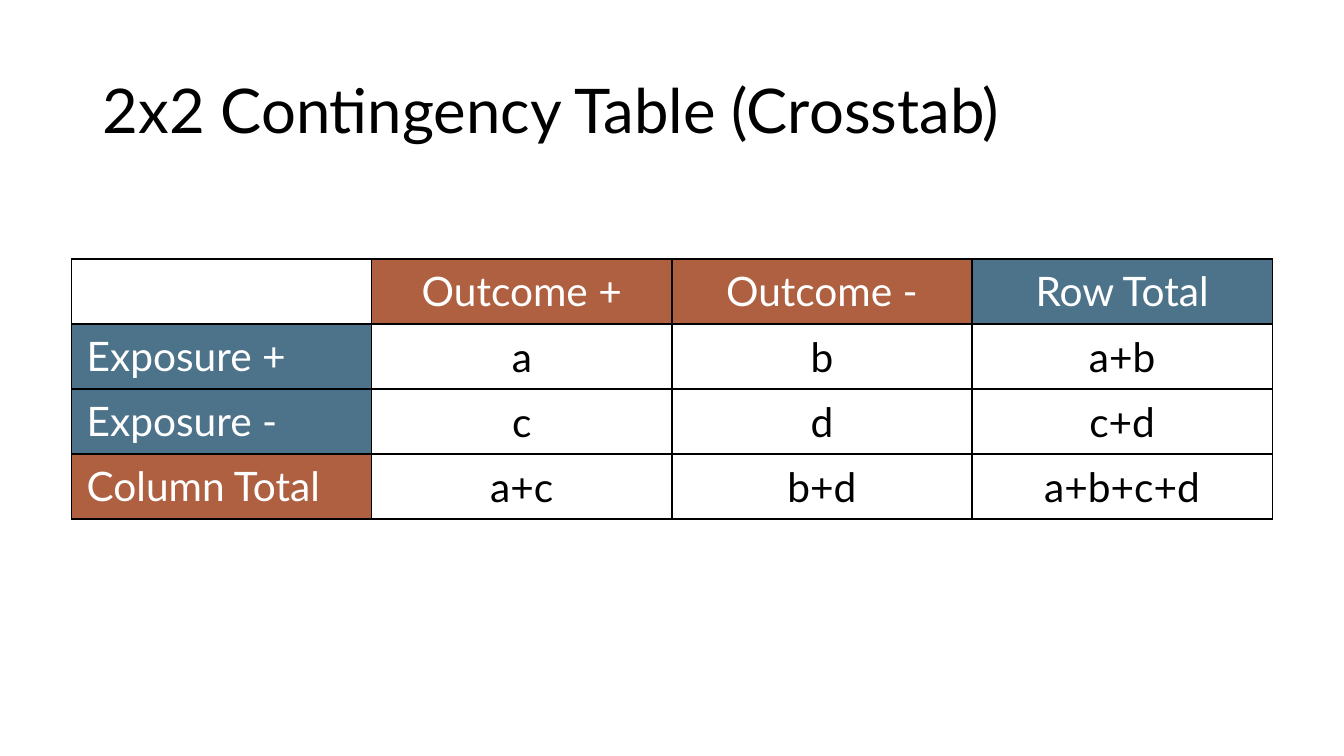
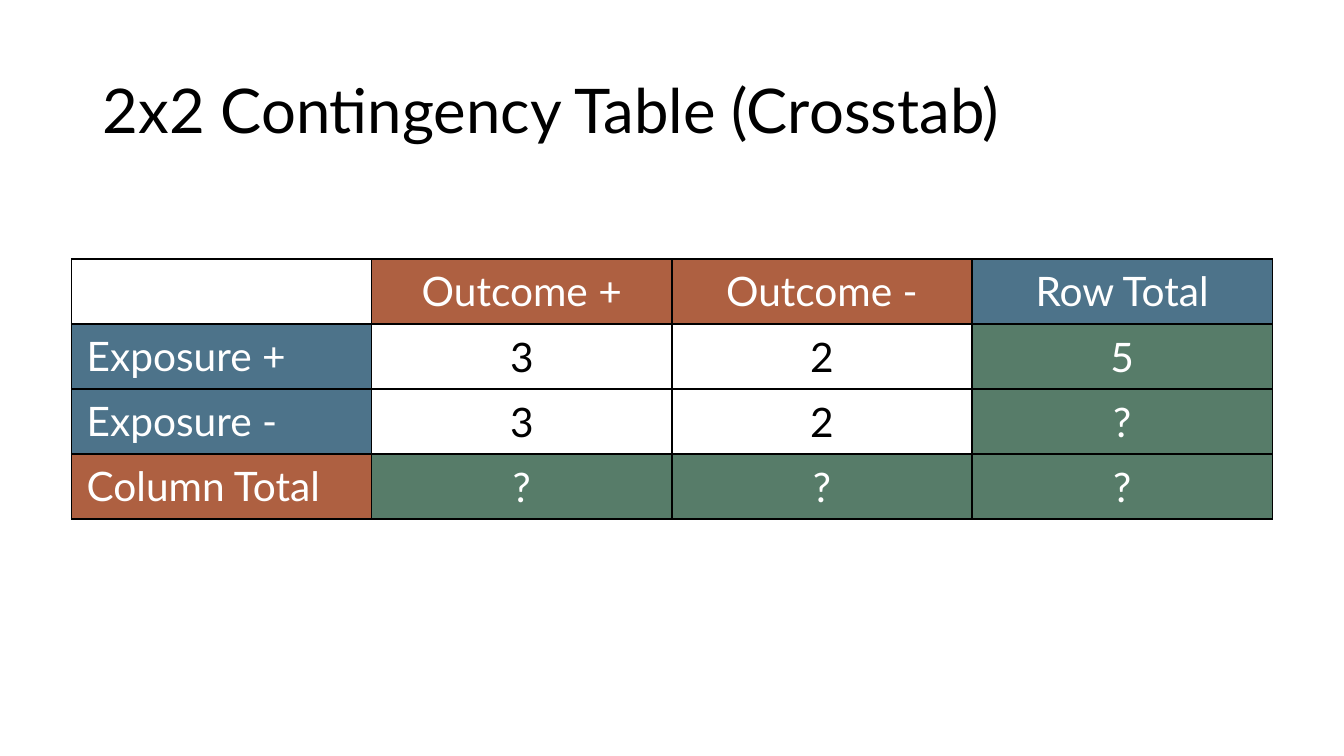
from lxml import etree
from pptx import Presentation
from pptx.dml.color import RGBColor
from pptx.enum.text import MSO_ANCHOR, PP_ALIGN
from pptx.oxml.ns import qn
from pptx.util import Inches, Pt

LEFT, CENTER = PP_ALIGN.LEFT, PP_ALIGN.CENTER
TOP, MIDDLE = MSO_ANCHOR.TOP, MSO_ANCHOR.MIDDLE

FONT = "Lato"
BLACK = RGBColor(0x00, 0x00, 0x00)
WHITE = RGBColor(0xFF, 0xFF, 0xFF)
RUST = RGBColor(0xAE, 0x60, 0x41)
BLUE = RGBColor(0x4D, 0x73, 0x8A)
GREEN = RGBColor(0x57, 0x7C, 0x69)

TITLE = "2x2 Contingency Table (Crosstab)"
TITLE_BOX = (Inches(0.92), Inches(0.4), Inches(11.5), Inches(1.45))
TABLE_BOX = (Inches(0.71), Inches(2.57), Inches(11.91), Inches(2.58))

COLUMN_HEADS = [("Outcome +", RUST), ("Outcome -", RUST), ("Row Total", BLUE)]
ROW_HEADS = [("Exposure +", BLUE), ("Exposure -", BLUE), ("Column Total", RUST)]
SYMBOLS = [["a", "b", "a+b"], ["c", "d", "c+d"], ["a+c", "b+d", "a+b+c+d"]]
COUNTS = [["3", "2", "5"], ["3", "2", "?"], ["?", "?", "?"]]


def add_span(para, text, size, color):
    span = para.add_run()
    span.text = text
    span.font.name = FONT
    span.font.size = Pt(size)
    span.font.color.rgb = color


def add_title(page, area, text):
    box = page.shapes.add_textbox(*area)
    frame = box.text_frame
    frame.word_wrap = True
    frame.vertical_anchor = MIDDLE
    para = frame.paragraphs[0]
    para.line_spacing = 0.9
    add_span(para, text, 44, BLACK)


def add_borders(cell, color, width):
    properties = cell._tc.get_or_add_tcPr()
    for position, side in enumerate(("a:lnL", "a:lnR", "a:lnT", "a:lnB")):
        line = etree.Element(qn(side), w=str(Pt(width)))
        fill = etree.SubElement(line, qn("a:solidFill"))
        etree.SubElement(fill, qn("a:srgbClr"), val=str(color))
        properties.insert(position, line)


def style_cell(cell, text, fill, align=CENTER, anchor=TOP):
    cell.margin_left = cell.margin_right = Inches(0.15)
    cell.margin_top = cell.margin_bottom = Inches(0.07)
    cell.vertical_anchor = anchor
    cell.fill.solid()
    cell.fill.fore_color.rgb = fill
    add_borders(cell, BLACK, 1)
    if text:
        para = cell.text_frame.paragraphs[0]
        para.alignment = align
        add_span(para, text, 29, BLACK if fill == WHITE else WHITE)


def add_crosstab(page, area, values, total_fill):
    row_count, column_count = len(ROW_HEADS) + 1, len(COLUMN_HEADS) + 1
    table = page.shapes.add_table(row_count, column_count, *area).table
    table.first_row = table.horz_banding = False
    for column in table.columns:
        column.width = area[2] // column_count
    for row in table.rows:
        row.height = area[3] // row_count

    style_cell(table.cell(0, 0), "", WHITE)
    for c, (text, fill) in enumerate(COLUMN_HEADS, 1):
        style_cell(table.cell(0, c), text, fill)
    for r, (text, fill) in enumerate(ROW_HEADS, 1):
        style_cell(table.cell(r, 0), text, fill, align=LEFT)
        for c, value in enumerate(values[r - 1], 1):
            is_total = r == row_count - 1 or c == column_count - 1
            value_fill = total_fill if is_total else WHITE
            style_cell(table.cell(r, c), value, value_fill, anchor=MIDDLE)


def add_crosstab_page(deck, values, total_fill):
    page = deck.slides.add_slide(deck.slide_layouts[6])
    add_title(page, TITLE_BOX, TITLE)
    add_crosstab(page, TABLE_BOX, values, total_fill)


def main():
    deck = Presentation()
    deck.slide_width = Inches(13.33)
    deck.slide_height = Inches(7.5)
    add_crosstab_page(deck, SYMBOLS, WHITE)
    add_crosstab_page(deck, COUNTS, GREEN)
    deck.save("out.pptx")


if __name__ == "__main__":
    main()
